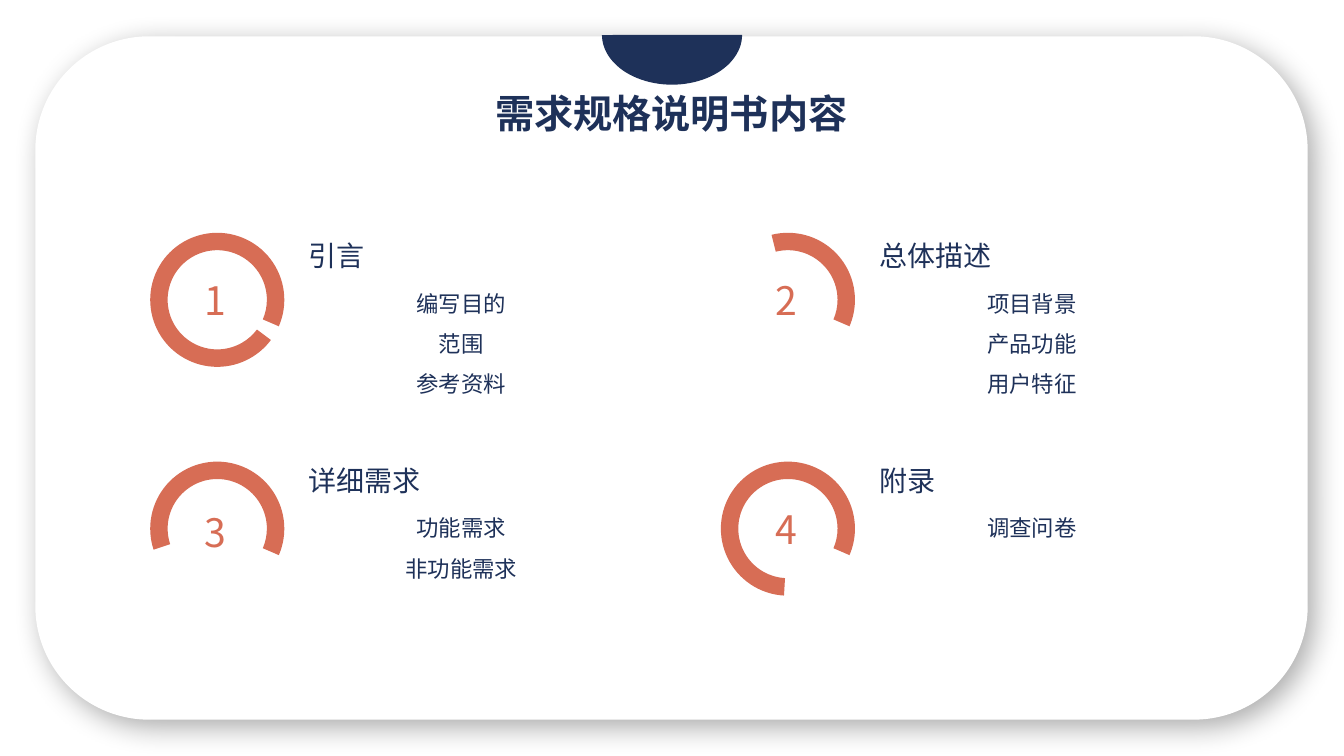
from lxml.etree import SubElement
from pptx import Presentation
from pptx.dml.color import RGBColor
from pptx.enum.shapes import MSO_SHAPE
from pptx.enum.text import MSO_ANCHOR, MSO_AUTO_SIZE, PP_ALIGN
from pptx.oxml import parse_xml
from pptx.oxml.ns import nsdecls, qn
from pptx.util import Inches, Pt

NAVY = RGBColor(0x1E, 0x31, 0x59)
CORAL = RGBColor(0xD7, 0x6D, 0x55)
WHITE = RGBColor(0xFF, 0xFF, 0xFF)
FONT = "Noto Sans CJK SC"

# number, heading, items, start of arc, drop of number below ring top
PARTS = [
    ("1", "引言", ["编写目的", "范围", "参考资料"], 22.12, 0.38),
    ("2", "总体描述", ["项目背景", "产品功能", "用户特征"], 153.51, 0.38),
    ("3", "详细需求", ["功能需求", "非功能需求"], 97.02, 0.41),
    ("4", "附录", ["调查问卷"], 56.01, 0.38),
]
ARC_END, ARC_BAND = 13.96, 0.13
COLS = (1.49, 7.15)
RING_ROWS = (2.31, 4.58)
HEAD_ROWS = (2.32, 4.55)


def place(shape, x, y, w, h):
    shape.left, shape.top = Inches(x), Inches(y)
    shape.width, shape.height = Inches(w), Inches(h)


def write(shape, lines, size, color, bold=False, wrap=False,
          align=PP_ALIGN.LEFT, spacing=1.0):
    """Fill a text box or placeholder, one paragraph a line."""
    frame = shape.text_frame
    frame.text = "\n".join(lines)
    frame.word_wrap = wrap
    frame.auto_size = MSO_AUTO_SIZE.SHAPE_TO_FIT_TEXT
    frame.vertical_anchor = MSO_ANCHOR.TOP
    for para in frame.paragraphs:
        para.alignment = align
        para.line_spacing = spacing
        para.space_before = Pt(0)
        props = para._p.get_or_add_pPr()
        props.set("marL", "0")
        props.set("indent", "0")
        SubElement(props, qn("a:buNone"))
        for run in para.runs:
            font = run.font
            font.name, font.size, font.bold = FONT, Pt(size), bold
            font.color.rgb = color
            SubElement(run._r.get_or_add_rPr(), qn("a:ea"), typeface=FONT)


def add_label(slide, text, x, y, w, h, **style):
    box = slide.shapes.add_textbox(Inches(x), Inches(y), Inches(w), Inches(h))
    write(box, [text], **style)


def add_solid(slide, kind, x, y, w, h, color, adjust=()):
    """Add a filled preset shape without line or shadow."""
    shape = slide.shapes.add_shape(
        kind, Inches(x), Inches(y), Inches(w), Inches(h))
    shape.shadow.inherit = False
    shape.fill.solid()
    shape.fill.fore_color.rgb = color
    shape.line.fill.background()
    for i, value in enumerate(adjust):
        shape.adjustments[i] = value
    return shape


def add_card(slide):
    card = add_solid(slide, MSO_SHAPE.ROUNDED_RECTANGLE,
                     0.35, 0.36, 12.62, 6.78, WHITE)
    effects = card.element.spPr.find(qn("a:effectLst"))
    effects.append(parse_xml(
        f'<a:outerShdw {nsdecls("a")} blurRad="{Pt(21)}" dist="{Pt(8)}" '
        'dir="2700000" algn="tl" rotWithShape="0"><a:srgbClr val="000000">'
        '<a:alpha val="32000"/></a:srgbClr></a:outerShdw>'))
    slide.shapes.element.insert(2, card.element)  # behind the placeholders


def add_part(slide, index, body):
    number, head, items, start, drop = PARTS[index]
    row, col = divmod(index, 2)
    x, ring_y, head_y = COLS[col], RING_ROWS[row], HEAD_ROWS[row]
    add_solid(slide, MSO_SHAPE.BLOCK_ARC, x, ring_y, 1.33, 1.33, CORAL,
              (start, ARC_END, ARC_BAND))
    add_label(slide, number, x + 0.44, ring_y + drop, 0.44, 0.57,
              size=28, color=CORAL)
    add_label(slide, head, x + 1.47, head_y, 0.2 + 0.28 * len(head), 0.44,
              size=20, color=NAVY)
    place(body, x + 1.47, head_y + 0.37, 3.23, 0.1 + 0.4 * len(items))
    write(body, items, size=16, color=NAVY, wrap=True,
          align=PP_ALIGN.CENTER, spacing=1.5)


def main():
    deck = Presentation()
    deck.slide_width, deck.slide_height = Inches(13.33), Inches(7.5)
    slide = deck.slides.add_slide(deck.slide_layouts.get_by_name("Comparison"))
    title, *bodies = slide.placeholders
    add_card(slide)
    add_solid(slide, MSO_SHAPE.PIE, 5.97, -0.15, 1.39, 0.99, NAVY, (0, 107.87))
    place(title, 4.81, 0.84, 3.71, 0.57)
    write(title, ["需求规格说明书内容"], size=28, color=NAVY, bold=True)
    for index, body in enumerate(bodies[:len(PARTS)]):
        add_part(slide, index, body)
    deck.save("out.pptx")


if __name__ == "__main__":
    main()
